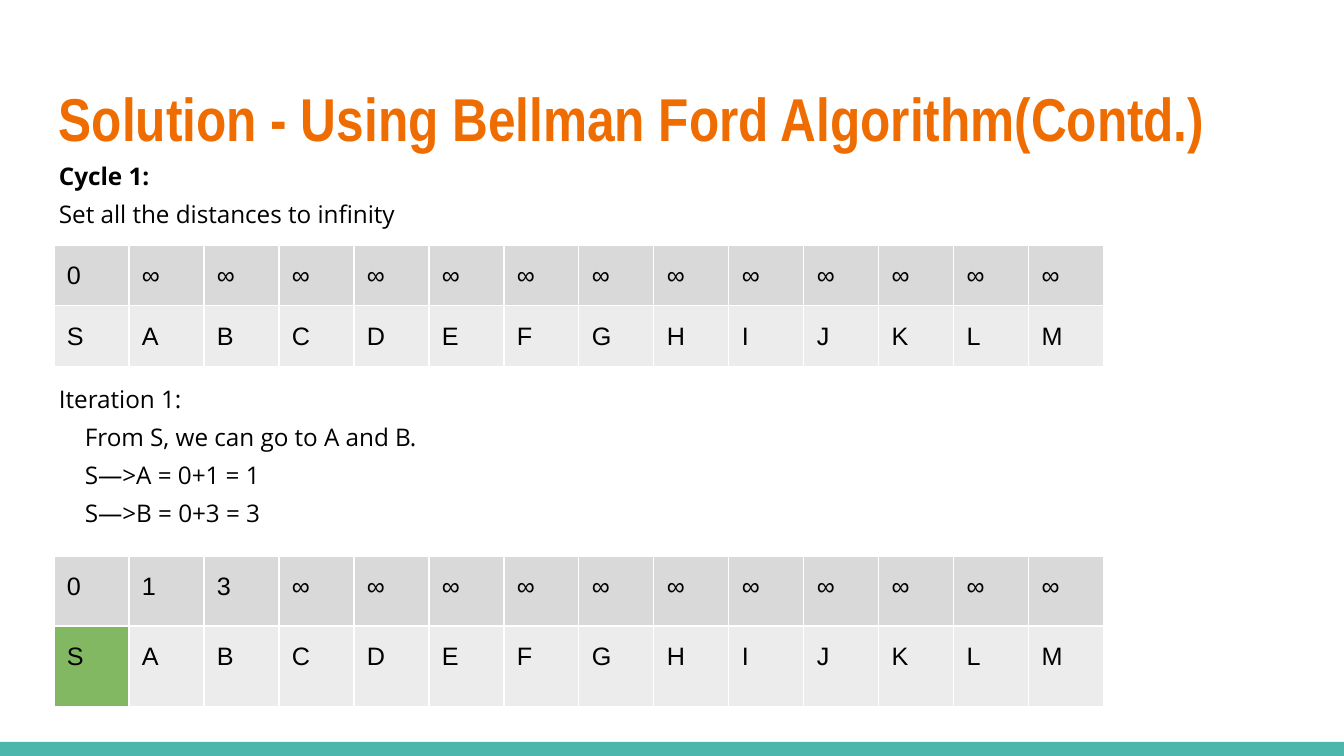
import lxml.etree
import pptx
import pptx.dml.color
import pptx.enum.shapes
import pptx.enum.text
import pptx.oxml.ns
import pptx.util

PX = 914400 / 134.4
ORANGE = pptx.dml.color.RGBColor(0xEF, 0x6C, 0x00)
TEAL = pptx.dml.color.RGBColor(0x4D, 0xB6, 0xAC)
GREEN = pptx.dml.color.RGBColor(0x83, 0xB8, 0x62)
GRAY = pptx.dml.color.RGBColor(0xD9, 0xD9, 0xD9)
LIGHT_GRAY = pptx.dml.color.RGBColor(0xEC, 0xEC, 0xEC)
WHITE = pptx.dml.color.RGBColor(0xFF, 0xFF, 0xFF)
BLACK = pptx.dml.color.RGBColor(0x00, 0x00, 0x00)


def px(*lengths):
    return [pptx.util.Emu(round(length * PX)) for length in lengths]


def add_run(paragraph, text, font_name, size, color, bold=False):
    run = paragraph.add_run()
    run.text = text
    run.font.name = font_name
    run.font.size = pptx.util.Pt(size)
    run.font.color.rgb = color
    run.font.bold = bold


presentation = pptx.Presentation()
presentation.slide_width, presentation.slide_height = px(1344, 756)
slide = presentation.slides.add_slide(presentation.slide_layouts[6])
slide.background.fill.solid()
slide.background.fill.fore_color.rgb = WHITE

footer_bar = slide.shapes.add_shape(
    pptx.enum.shapes.MSO_SHAPE.RECTANGLE, *px(0, 742, 1344, 14))
footer_bar.shadow.inherit = False
footer_bar.fill.solid()
footer_bar.fill.fore_color.rgb = TEAL
footer_bar.line.fill.background()

title = slide.shapes.add_textbox(*px(46, 66, 1253, 103))
body = slide.shapes.add_textbox(*px(46, 148, 1253, 485))
for shape in (title, body):
    frame = shape.text_frame
    frame.word_wrap = True
    frame.margin_left, frame.margin_top, frame.margin_right, frame.margin_bottom = px(13, 13, 13, 13)
title.text_frame.vertical_anchor = pptx.enum.text.MSO_ANCHOR.MIDDLE
add_run(title.text_frame.paragraphs[0], "Solution - Using Bellman Ford Algorithm(Contd.)",
        "Arial Narrow", 32.4, ORANGE, True)

body_lines = [
    ("Cycle 1:", 0, 0, True),
    ("Set all the distances to infinity", 4.8, 0, False),
    ("Iteration 1:", 83.5, 0, False),
    ("From S, we can go to A and B.", 4.8, 26, False),
    ("S—>A = 0+1 = 1", 4.8, 26, False),
    ("S—>B = 0+3 = 3", 4.8, 26, False),
]
for index, (text, space_before, indent, bold) in enumerate(body_lines):
    frame = body.text_frame
    paragraph = frame.add_paragraph() if index else frame.paragraphs[0]
    paragraph.space_before = pptx.util.Pt(space_before)
    paragraph.line_spacing = 1.0
    if indent:
        properties = paragraph._p.get_or_add_pPr()
        properties.set("marL", str(px(indent)[0]))
        properties.set("indent", "0")
    add_run(paragraph, text, "Open Sans", 13, BLACK, bold)

nodes = "SABCDEFGHIJKLM"
distance_tables = [
    (245, (58, 58), "0" + "∞" * 13, LIGHT_GRAY),
    (556, (70, 81), "013" + "∞" * 11, GREEN),
]
for top, row_heights, distances, source_fill in distance_tables:
    table = slide.shapes.add_table(
        2, len(nodes), *px(54, top, 75 * len(nodes), sum(row_heights))).table
    for column in table.columns:
        column.width = px(75)[0]
    for row_index, values in enumerate((distances, nodes)):
        table.rows[row_index].height = px(row_heights[row_index])[0]
        for column_index, value in enumerate(values):
            cell = table.cell(row_index, column_index)
            cell.margin_left, cell.margin_top, cell.margin_right, cell.margin_bottom = px(13, 13, 13, 13)
            paragraph = cell.text_frame.paragraphs[0]
            paragraph.line_spacing = 1.15
            add_run(paragraph, value, "Arial", 13.5, BLACK)
            properties = cell._tc.get_or_add_tcPr()
            for side in ("lnL", "lnR", "lnT", "lnB"):
                border = lxml.etree.SubElement(
                    properties, pptx.oxml.ns.qn("a:" + side), w=str(pptx.util.Pt(0.75)))
                fill = lxml.etree.SubElement(border, pptx.oxml.ns.qn("a:solidFill"))
                lxml.etree.SubElement(fill, pptx.oxml.ns.qn("a:srgbClr"), val=str(WHITE))
            cell.fill.solid()
            cell.fill.fore_color.rgb = GRAY if row_index == 0 else LIGHT_GRAY
    table.cell(1, 0).fill.fore_color.rgb = source_fill

presentation.save("out.pptx")
